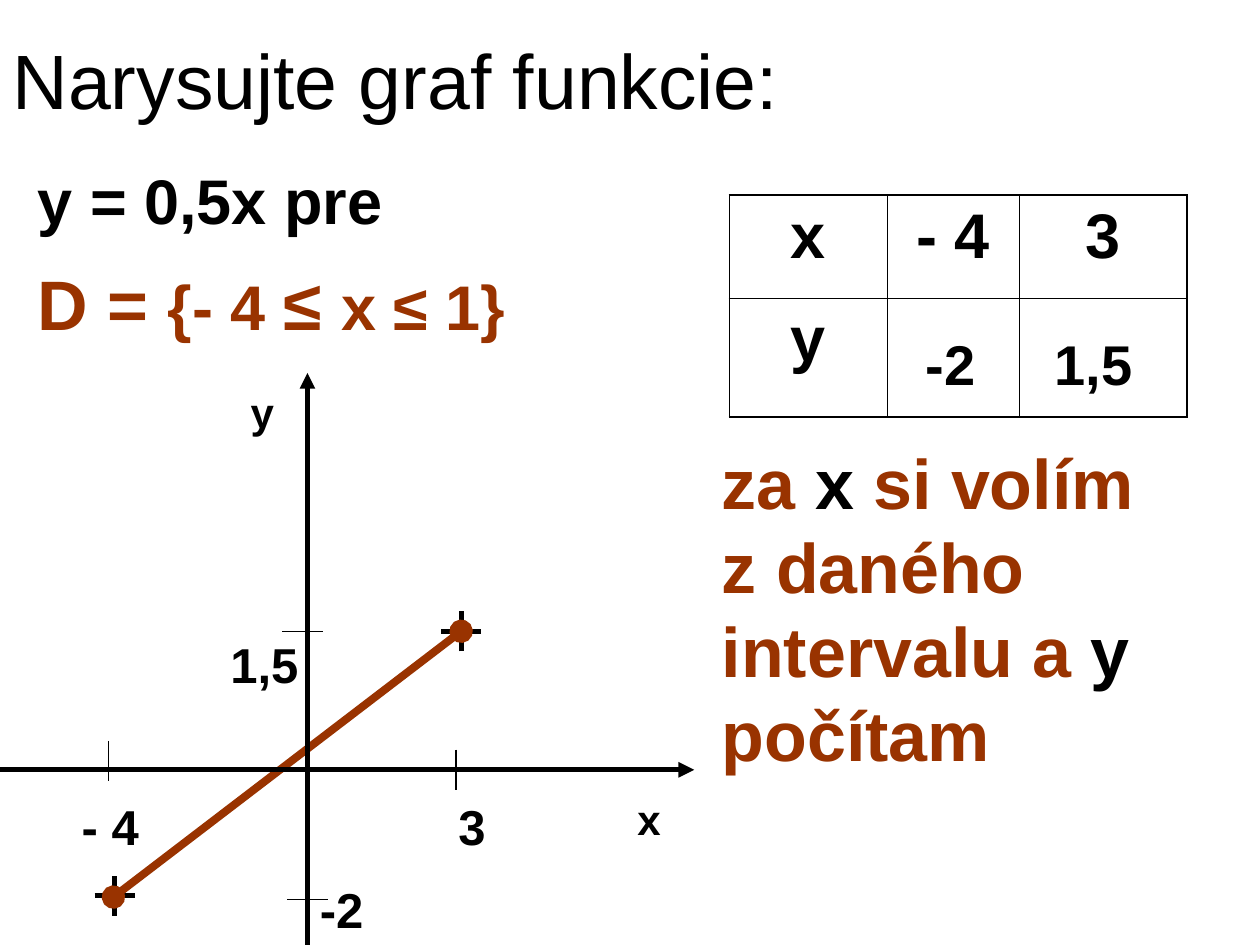
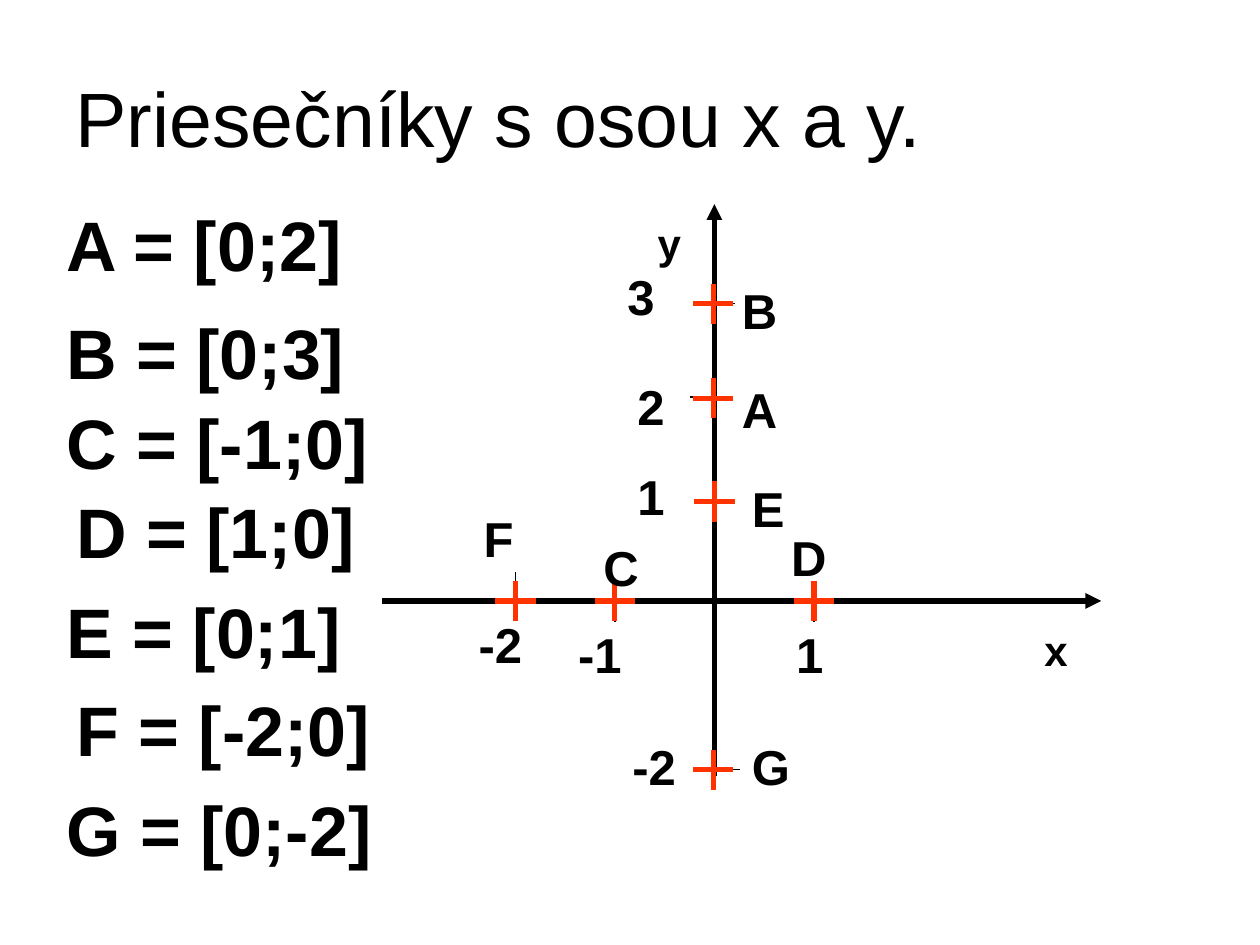
from dataclasses import dataclass

from lxml.etree import SubElement
from pptx import Presentation
from pptx.dml.color import RGBColor as RGB
from pptx.enum.shapes import MSO_CONNECTOR as CONN
from pptx.enum.text import MSO_ANCHOR as ANCHOR, MSO_AUTO_SIZE as AUTO, PP_ALIGN as ALIGN
from pptx.oxml import parse_xml
from pptx.oxml.ns import nsdecls, qn
from pptx.util import Emu, Pt

PX = 9144


@dataclass(frozen=True)
class Theme:
    font: str = "Arial"
    ink: str = "000000"
    brown: str = "993300"
    red: str = "FF3300"
    title: int = 44
    big: int = 40
    body: int = 36
    value: int = 32
    label: int = 28
    axis: int = 24
    hair: float = 0.75
    thick: float = 3
    graph: float = 4.5
    frame: float = 1.08
    grid: float = 0.45


def px(*lengths):
    return [Emu(n * PX) for n in lengths]


def set_text(tf, text, *, font, size, color, bold=True, align=ALIGN.LEFT):
    """Fill a text frame with a string or with (text, color, size) runs."""
    tf.word_wrap = True
    p = tf.paragraphs[0]
    p.alignment = align
    p.space_before = Pt(0)
    runs = [(text, color, size)] if isinstance(text, str) else text
    for words, run_color, run_size in runs:
        r = p.add_run()
        r.text = words
        r.font.name, r.font.size, r.font.bold = font, Pt(run_size), bold
        r.font.color.rgb = RGB.from_string(run_color)


class Deck:
    """Holds the theme and the current slide."""

    def __init__(self, theme):
        self.t = theme
        self.prs = Presentation()
        self.prs.slide_width, self.prs.slide_height = px(1000, 750)

    def slide(self, layout, title, *box):
        self.s = self.prs.slides.add_slide(self.prs.slide_layouts[layout])
        self.place(self.s.shapes.title, title, box, ANCHOR.MIDDLE,
                   size=self.t.title, bold=False)

    def place(self, sp, text, box, anchor=ANCHOR.TOP, **fmt):
        sp.left, sp.top, sp.width, sp.height = px(*box)
        sp.text_frame.auto_size = AUTO.NONE
        sp.text_frame.vertical_anchor = anchor
        self.fill_text(sp.text_frame, text, **fmt)

    def fill_text(self, tf, text, **fmt):
        set_text(tf, text, **{"font": self.t.font, "color": self.t.ink, **fmt})

    def body(self, text, *box):
        sp = self.s.placeholders[1]
        pPr = sp.text_frame.paragraphs[0]._p.get_or_add_pPr()
        pPr.set("marL", str(38 * PX))
        pPr.set("indent", str(-38 * PX))
        SubElement(pPr, qn("a:buNone"))
        self.place(sp, text, box, size=self.t.body)

    def text(self, text, x, y, w, h, size):
        sp = self.s.shapes.add_textbox(*px(x, y, w, h))
        self.place(sp, text, (x, y, w, h), size=size)

    def label(self, text, x, y, w=71):
        self.text(text, x, y, w, 57, self.t.label)

    def line(self, x1, y1, x2, y2, width, color=None, head=None, tail=None):
        c = self.s.shapes.add_connector(CONN.STRAIGHT, *px(x1, y1, x2, y2))
        c.line.width = Pt(width)
        c.line.color.rgb = RGB.from_string(color or self.t.ink)
        spPr = c.element.spPr
        for tag, kind in (("a:headEnd", head), ("a:tailEnd", tail)):
            if kind:
                SubElement(spPr.find(qn("a:ln")), qn(tag)).set("type", kind)
        SubElement(spPr, qn("a:effectLst"))

    def cross(self, x, y, color=None):
        self.line(x - 16, y, x + 16, y, self.t.thick, color)
        self.line(x, y + 16, x, y - 16, self.t.thick, color)

    def axes(self, x, y, left, bottom, x_name, y_name):
        """Draw both arrows through (x, y) and name them."""
        self.line(left, y, left + 571, y, self.t.thick, tail="triangle")
        self.line(x, bottom, x, bottom - 454, self.t.thick, tail="triangle")
        for name, at in (("x", x_name), ("y", y_name)):
            self.text(name, *at, 39, 50, self.t.axis)

    def ticks(self, across=(), down=(), length=32):
        for x, y in across:
            self.line(x, y, x + length, y, self.t.hair)
        for x, y in down:
            self.line(x, y, x, y + length, self.t.hair)

    def table(self, rows, x, y, widths, heights):
        n, m = len(heights), len(widths)
        table = self.s.shapes.add_table(
            n, m, *px(x, y, sum(widths), sum(heights))).table
        table.first_row = table.horz_banding = False
        for col, w in zip(table.columns, widths):
            col.width = Emu(w * PX)
        for i, (row, h) in enumerate(zip(rows, heights)):
            table.rows[i].height = Emu(h * PX)
            for j, value in enumerate(row):
                cell = table.cell(i, j)
                cell.fill.background()
                if value:
                    self.fill_text(cell.text_frame, value, size=self.t.body,
                                   align=ALIGN.CENTER)
                self.borders(cell, j == 0, j == m - 1, i == 0, i == n - 1)

    def borders(self, cell, *outer):
        tcPr = cell._tc.get_or_add_tcPr()
        for k, (side, edge) in enumerate(zip("LRTB", outer)):
            width = Pt(self.t.frame if edge else self.t.grid)
            tcPr.insert(k, parse_xml(
                f'<a:ln{side} {nsdecls("a")} w="{width}"><a:solidFill>'
                f'<a:srgbClr val="{self.t.ink}"/></a:solidFill></a:ln{side}>'))


def graph_slide(d):
    t = d.t
    d.slide(1, "Narysujte graf funkcie:", 0, 0, 900, 125)
    d.body("y = 0,5x pre", 20, 123, 442, 113)
    d.table([("x", "- 4", "3"), ("y", "", "")], 579, 155, (125, 105, 133), (82, 94))
    for x, y in ((91, 711), (366, 501)):
        d.cross(x, y)
    d.line(90, 712, 366, 501, t.graph, t.brown, head="oval", tail="oval")
    d.axes(244, 611, -20, 750, (496, 625), (189, 302))
    d.ticks(across=((224, 501), (228, 714)), down=((86, 588), (362, 595)))
    for text, x, y, w in (("- 4", 55, 627, 71), ("3", 354, 627, 71),
                          ("-2", 244, 693, 71), ("1,5", 173, 499, 94)):
        d.label(text, x, y, w)
    d.text([("za ", t.brown, t.big), ("x", t.ink, t.big),
            (" si volím z daného intervalu a ", t.brown, t.big),
            ("y", t.ink, t.big), (" počítam", t.brown, t.big)],
           563, 344, 360, 277, t.big)
    d.text([("D = ", t.brown, t.big), ("{- 4 ", t.brown, t.body),
            ("≤ ", t.brown, t.big), ("x ≤ 1}", t.brown, t.body)],
           20, 202, 410, 77, t.big)
    for value, x in (("-2", 725), ("1,5", 827)):
        d.text(value, x, 257, 94, 64, t.value)


def intercepts_slide(d):
    t = d.t
    d.slide(5, "Priesečníky s osou x a y.", 50, 30, 900, 125)
    d.axes(567, 477, 303, 616, (819, 491), (512, 168))
    d.ticks(across=((551, 399), (548, 315), (551, 241)),
            down=((409, 454), (488, 462), (646, 462)))
    d.ticks(across=((563, 611),), length=24)
    for text, x, y in (("-2", 370, 483), ("-1", 449, 491), ("1", 622, 491),
                       ("1", 496, 365), ("2", 496, 294), ("3", 488, 207),
                       ("-2", 492, 580)):
        d.label(text, x, y)
    points = (("A", "[0;2]", (566, 316), (579, 296), (43, 155)),
              ("B", "[0;3]", (566, 241), (579, 218), (43, 241)),
              ("C", "[-1;0]", (488, 477), (469, 422), (43, 312)),
              ("D", "[1;0]", (646, 477), (618, 414), (51, 383)),
              ("E", "[0;1]", (567, 398), (587, 375), (43, 462)),
              ("F", "[-2;0]", (409, 477), (374, 399), (51, 540)),
              ("G", "[0;-2]", (566, 611), (587, 580), (43, 619)))
    for name, coords, mark, label, line in points:
        d.cross(*mark, t.red)
        d.label(name, *label, 87)
        d.text(f"{name} = {coords}", *line, 283, 77, t.big)


def main():
    d = Deck(Theme())
    graph_slide(d)
    intercepts_slide(d)
    d.prs.save("out.pptx")


if __name__ == "__main__":
    main()
